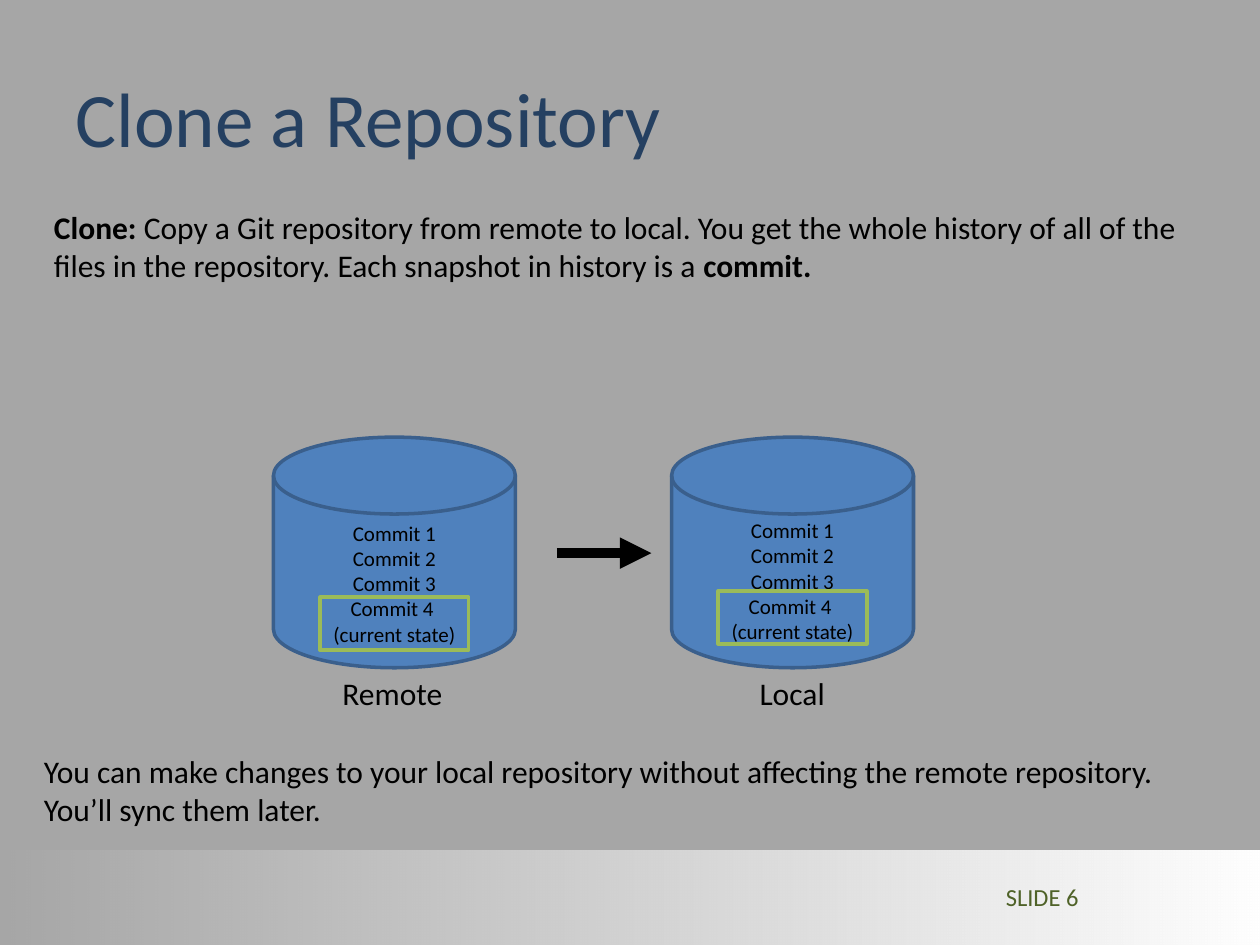
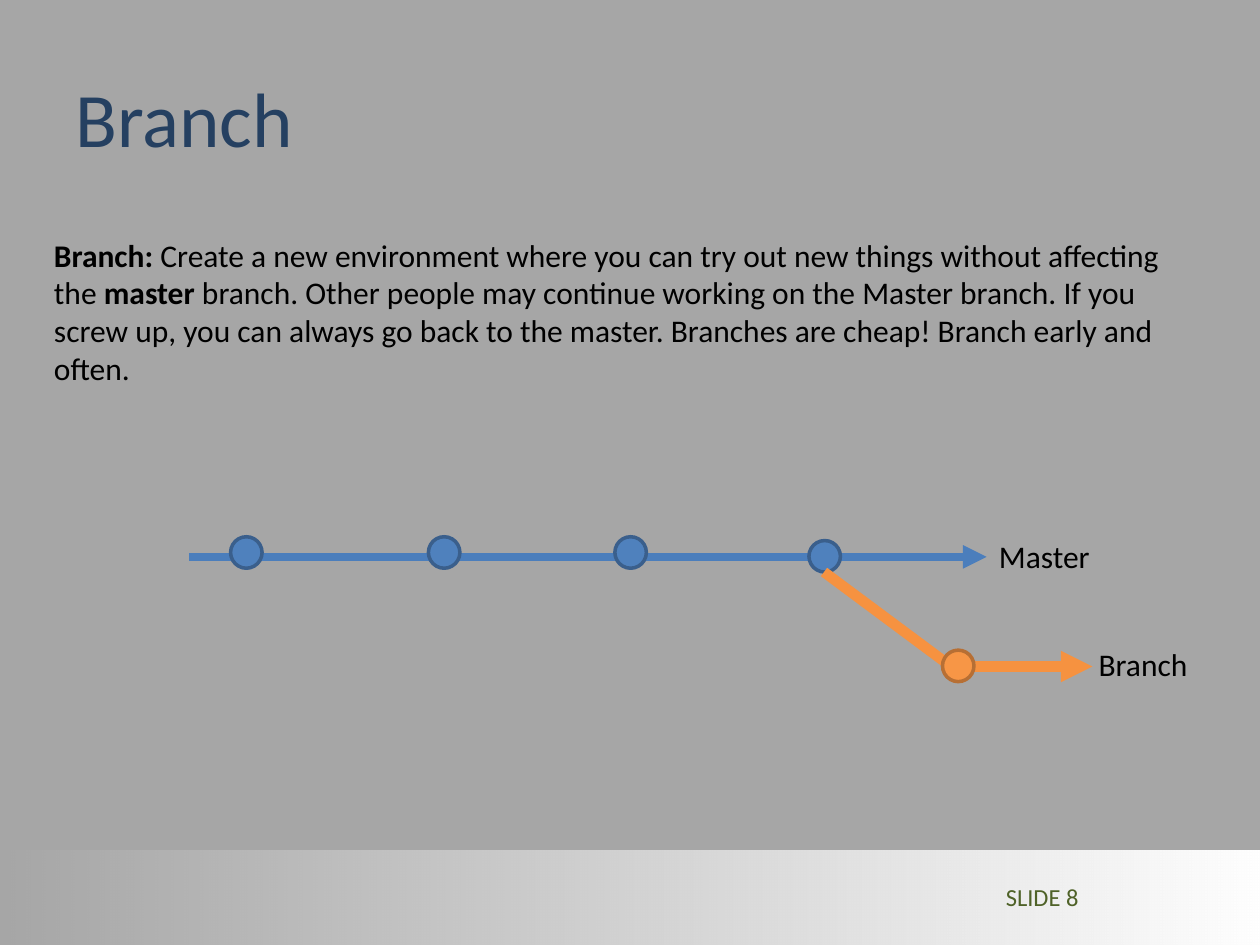
from lxml.etree import SubElement
from pptx import Presentation
from pptx.dml.color import RGBColor
from pptx.enum.shapes import MSO_CONNECTOR, MSO_SHAPE
from pptx.enum.text import MSO_ANCHOR, MSO_AUTO_SIZE, PP_ALIGN
from pptx.oxml.ns import qn
from pptx.util import Inches, Pt

BLACK, WHITE, GRAY = "000000", "FFFFFF", "A6A6A6"
NAVY, OLIVE, GREEN = "254061", "4F6228", "9BBB59"
BLUE, BLUE_EDGE, BLUE_LINE = "4F81BD", "3A5F8C", "4B7EBC"
ORANGE, ORANGE_EDGE, ORANGE_LINE = "F79646", "B76F34", "F69240"


def write(shape, paragraphs, size=18, color=BLACK, **frame_format):
    frame = shape.text_frame
    frame_format = {"word_wrap": True, "auto_size": MSO_AUTO_SIZE.SHAPE_TO_FIT_TEXT} | frame_format
    alignment = frame_format.pop("alignment", PP_ALIGN.LEFT)
    for name, value in frame_format.items():
        setattr(frame, name, value)
    for index, runs in enumerate(paragraphs):
        paragraph = frame.add_paragraph() if index else frame.paragraphs[0]
        paragraph.alignment = alignment
        for text, bold in runs:
            run = paragraph.add_run()
            run.text = text
            run.font.color.rgb = RGBColor.from_string(color)
            font_format = {"name": "Calibri", "size": Pt(size), "bold": bold}
            for name, value in font_format.items():
                setattr(run.font, name, value)


def paint(shape, line, width=2, fill=None, arrow=False):
    if hasattr(shape, "fill"):
        shape.shadow.inherit = False
        if fill:
            shape.fill.solid()
            shape.fill.fore_color.rgb = RGBColor.from_string(fill)
        else:
            shape.fill.background()
    shape.line.color.rgb = RGBColor.from_string(line)
    shape.line.width = Pt(width)
    properties = shape._element.spPr
    if arrow:
        SubElement(properties.find(qn("a:ln")), qn("a:tailEnd"), type="triangle")
    if not hasattr(shape, "fill"):
        SubElement(properties, qn("a:effectLst"))


presentation = Presentation()
presentation.slide_width, presentation.slide_height = Inches(10), Inches(7.5)
background = presentation.slide_master.background.fill
background.solid()
background.fore_color.rgb = RGBColor.from_string(GRAY)

slides = []
for title, number in (("Clone a Repository", 6), ("Branch", 8)):
    slide = presentation.slides.add_slide(presentation.slide_layouts[5])
    slides.append(slide)

    band = slide.shapes.add_shape(MSO_SHAPE.RECTANGLE, 0, Inches(6.75), Inches(10), Inches(0.75))
    band.shadow.inherit = False
    band.line.fill.background()
    band.fill.gradient()
    band.fill.gradient_angle = 180
    for stop in band.fill.gradient_stops:
        stop.color.rgb = RGBColor.from_string(WHITE)
    clear_stop = band._element.spPr.findall(".//" + qn("a:srgbClr"))[-1]
    SubElement(clear_stop, qn("a:alpha"), val="0")

    heading = slide.shapes.title
    heading.left, heading.top = Inches(0.5), Inches(0.3)
    heading.width, heading.height = Inches(9), Inches(1.25)
    write(heading, [[(title, False)]], 44, NAVY,
          auto_size=MSO_AUTO_SIZE.NONE, vertical_anchor=MSO_ANCHOR.MIDDLE)

    footer = slide.shapes.add_textbox(Inches(6.33), Inches(6.92), Inches(2.33), Inches(0.4))
    write(footer, [[(f"SLIDE {number}", False)]], 14, OLIVE, alignment=PP_ALIGN.RIGHT,
          auto_size=MSO_AUTO_SIZE.NONE, vertical_anchor=MSO_ANCHOR.MIDDLE)

clone, branch = slides

explanations = [
    (clone, 0.33, 1.6, 9.42, 0.71, [
        ("Clone:", True),
        (" Copy a Git repository from remote to local. You get the whole history of all of the "
         "files in the repository. Each snapshot in history is a ", False),
        ("commit.", True)]),
    (clone, 0.25, 5.92, 9.42, 0.71, [
        ("You can make changes to your local repository without affecting the remote repository. "
         "You’ll sync them later.", False)]),
    (branch, 0.33, 1.82, 9.08, 1.31, [
        ("Branch: ", True),
        ("Create a new environment where you can try out new things without affecting the ", False),
        ("master ", True),
        ("branch. Other people may continue working on the Master branch. If you screw up, you can "
         "always go back to the master. Branches are cheap! Branch early and often.", False)]),
]
for slide, left, top, width, height, runs in explanations:
    box = slide.shapes.add_textbox(Inches(left), Inches(top), Inches(width), Inches(height))
    write(box, [runs])

commits = ["Commit 1", "Commit 2", "Commit 3", "Commit 4 ", "(current state)"]
repositories = [(2.17, 2.54, 4.08, 4.74), (5.33, 5.7, 4.06, 4.69)]
for disk_left, list_left, list_top, frame_top in repositories:
    disk = clone.shapes.add_shape(MSO_SHAPE.FLOWCHART_MAGNETIC_DISK, Inches(disk_left),
                                  Inches(3.47), Inches(1.92), Inches(1.83))
    paint(disk, BLUE_EDGE, fill=BLUE)
    history = clone.shapes.add_textbox(Inches(list_left), Inches(list_top), Inches(1.18), Inches(1.11))
    write(history, [[(commit, False)] for commit in commits], 12,
          word_wrap=False, alignment=PP_ALIGN.CENTER)
    current_state = clone.shapes.add_shape(MSO_SHAPE.RECTANGLE, Inches(list_left),
                                           Inches(frame_top), Inches(1.18), Inches(0.42))
    paint(current_state, GREEN)

lines = [
    (clone, 4.42, 4.39, 5.17, 4.39, BLACK, 6, True),
    (branch, 1.5, 4.42, 7.83, 4.42, BLUE_LINE, 4.5, True),
]
branch_lines = [
    (branch, 6.54, 4.54, 7.67, 5.38, ORANGE_LINE, 6, False),
    (branch, 7.67, 5.29, 8.67, 5.29, ORANGE_LINE, 6, True),
]
master_commits = [(1.83, 4.26), (3.4, 4.26), (4.88, 4.26), (6.42, 4.29)]
stages = [
    (lines, master_commits, BLUE, BLUE_EDGE),
    (branch_lines, [(7.48, 5.16)], ORANGE, ORANGE_EDGE),
]
for stage_lines, dots, fill, edge in stages:
    for slide, left, top, right, bottom, color, width, arrow in stage_lines:
        connector = slide.shapes.add_connector(MSO_CONNECTOR.STRAIGHT, Inches(left), Inches(top),
                                               Inches(right), Inches(bottom))
        paint(connector, color, width, arrow=arrow)
    for left, top in dots:
        dot = branch.shapes.add_shape(MSO_SHAPE.OVAL, Inches(left), Inches(top),
                                      Inches(0.25), Inches(0.25))
        paint(dot, edge, fill=fill)

labels = [
    (clone, "Remote", 2.62, 5.3, 1),
    (clone, "Local", 5.93, 5.3, 0.73),
    (branch, "Master", 7.83, 4.21, 0.93),
    (branch, "Branch", 8.62, 5.07, 0.92),
]
for slide, text, left, top, width in labels:
    label = slide.shapes.add_textbox(Inches(left), Inches(top), Inches(width), Inches(0.4))
    write(label, [[(text, False)]], word_wrap=False)

presentation.save("out.pptx")
